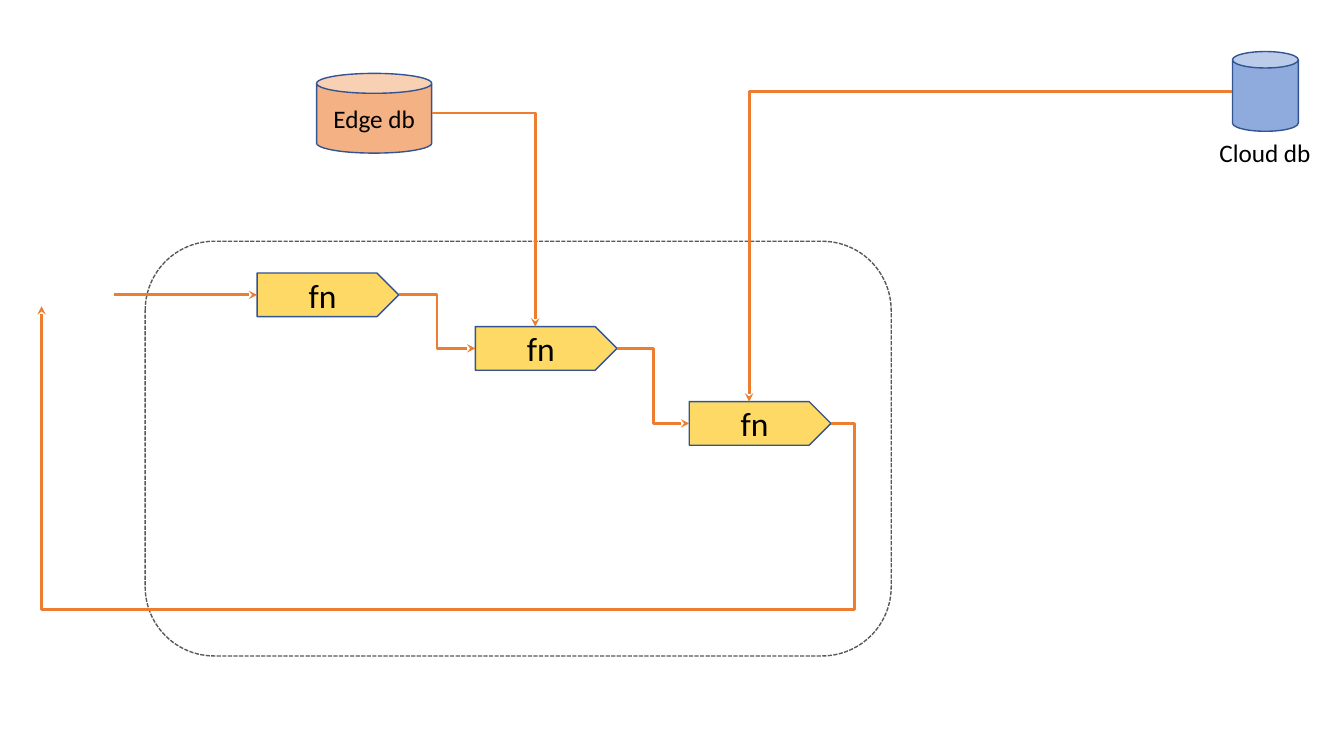
from pptx import Presentation
from pptx import util as u
from pptx.dml.color import RGBColor
from pptx.enum import dml, shapes, text
from pptx.oxml import ns
from lxml import etree

Cm = u.Cm
OUTLINE, FLOW = "325491", "ED7D31"
STEP_W, STEP_H = 3.57, 1.1
STEP_TOP_X = (STEP_W - STEP_H / 2) / 2  # middle of the flat top edge


def rgb(value):
    return RGBColor.from_string(value)


def write(frame, words, size):
    run = frame.paragraphs[0].add_run()
    run.text = words
    run.font.name = "Calibri"
    run.font.size = u.Pt(size)
    run.font.color.rgb = rgb("000000")


def add_node(slide, kind, left, top, width, height, fill=None, line=OUTLINE):
    node = slide.shapes.add_shape(kind, Cm(left), Cm(top), Cm(width), Cm(height))
    node.shadow.inherit = False
    if fill:
        node.fill.solid()
        node.fill.fore_color.rgb = rgb(fill)
    else:
        node.fill.background()
    node.line.color.rgb = rgb(line)
    node.line.width = u.Pt(1)
    return node


def label(node, words, size):
    frame = node.text_frame
    frame.vertical_anchor = text.MSO_ANCHOR.MIDDLE
    frame.paragraphs[0].alignment = text.PP_ALIGN.CENTER
    write(frame, words, size)


def add_database(slide, left, top, width, fill):
    return add_node(slide, shapes.MSO_SHAPE.CAN, left, top, width, 2.01, fill)


def add_step(slide, left, top):
    step = add_node(slide, shapes.MSO_SHAPE.PENTAGON, left, top, STEP_W, STEP_H, "FFD966")
    label(step, "fn", 24)
    return step


def add_caption(slide, words, left, top, width, height):
    caption = slide.shapes.add_textbox(Cm(left), Cm(top), Cm(width), Cm(height))
    caption.text_frame.word_wrap = False
    caption.text_frame.auto_size = text.MSO_AUTO_SIZE.SHAPE_TO_FIT_TEXT
    write(caption.text_frame, words, 18)


def add_flow(slide, start, end, preset="line", bends=()):
    """Arrow from start to end; bends are fractions of its width and height."""
    kind = shapes.MSO_CONNECTOR.STRAIGHT if preset == "line" else shapes.MSO_CONNECTOR.ELBOW
    flow = slide.shapes.add_connector(kind, *(Cm(v) for v in (*start, *end)))
    flow.line.color.rgb = rgb(FLOW)
    flow.line.width = u.Pt(2)
    properties = flow._element.spPr
    geometry = properties.find(ns.qn("a:prstGeom"))
    geometry.set("prst", preset)
    if bends:
        guides = geometry.find(ns.qn("a:avLst"))
        for number, bend in enumerate(bends, 1):
            etree.SubElement(guides, ns.qn("a:gd"), name=f"adj{number}",
                             fmla=f"val {round(bend * 100000)}")
    etree.SubElement(properties.find(ns.qn("a:ln")), ns.qn("a:tailEnd"), type="stealth")
    etree.SubElement(properties, ns.qn("a:effectLst"))
    return flow


def main():
    deck = Presentation()
    deck.slide_width, deck.slide_height = Cm(33.87), Cm(19.05)
    slide = deck.slides.add_slide(deck.slide_layouts[6])

    add_database(slide, 31.06, 1.3, 1.66, "8FAADC")
    boundary = add_node(slide, shapes.MSO_SHAPE.ROUNDED_RECTANGLE,
                        3.66, 6.08, 18.8, 10.45, line="595959")
    boundary.line.dash_style = dml.MSO_LINE.SQUARE_DOT

    corners = [(6.48, 6.88), (11.98, 8.23), (17.37, 10.12)]
    steps = [add_step(slide, *corner) for corner in corners]
    inlets = [(left, top + STEP_H / 2) for left, top in corners]
    outlets = [(left + STEP_W, y) for left, y in inlets]
    tops = [(left + STEP_TOP_X, top) for left, top in corners]

    request = add_flow(slide, (2.88, inlets[0][1]), inlets[0])
    request.end_connect(steps[0], 1)
    for outlet, inlet in zip(outlets, inlets[1:]):
        add_flow(slide, outlet, inlet, "bentConnector3")
    add_flow(slide, outlets[-1], (1.05, 7.72), "bentConnector4", (-0.03, -1.59))

    add_flow(slide, (31.06, 2.31), tops[2], "bentConnector2")
    add_caption(slide, "Cloud db", 30.48, 3.33, 2.84, 1.02)
    edge = add_database(slide, 7.98, 1.85, 2.9, "F4B183")
    label(edge, "Edge db", 18)
    add_flow(slide, (10.88, 2.85), tops[1], "bentConnector2")

    deck.save("out.pptx")


if __name__ == "__main__":
    main()
